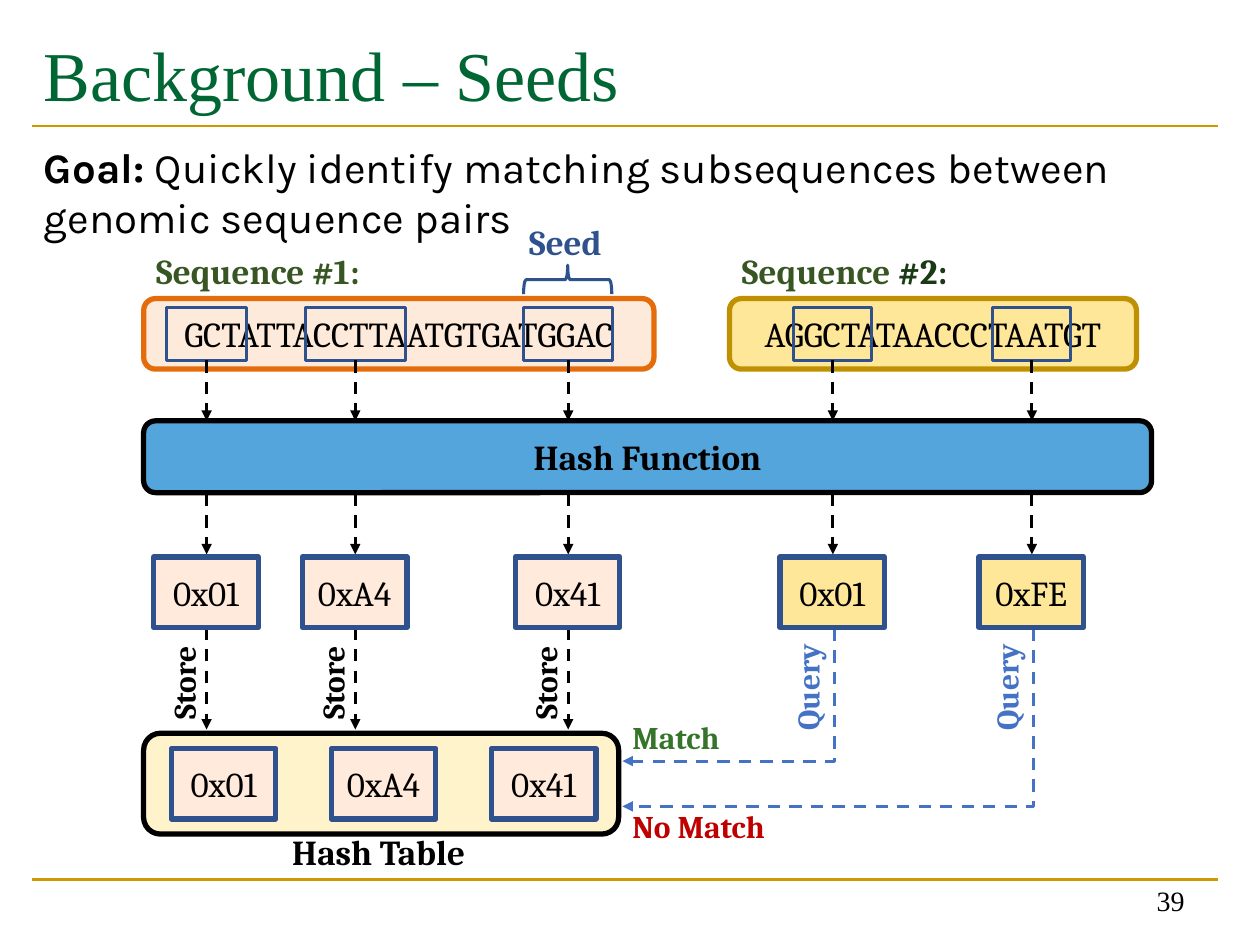
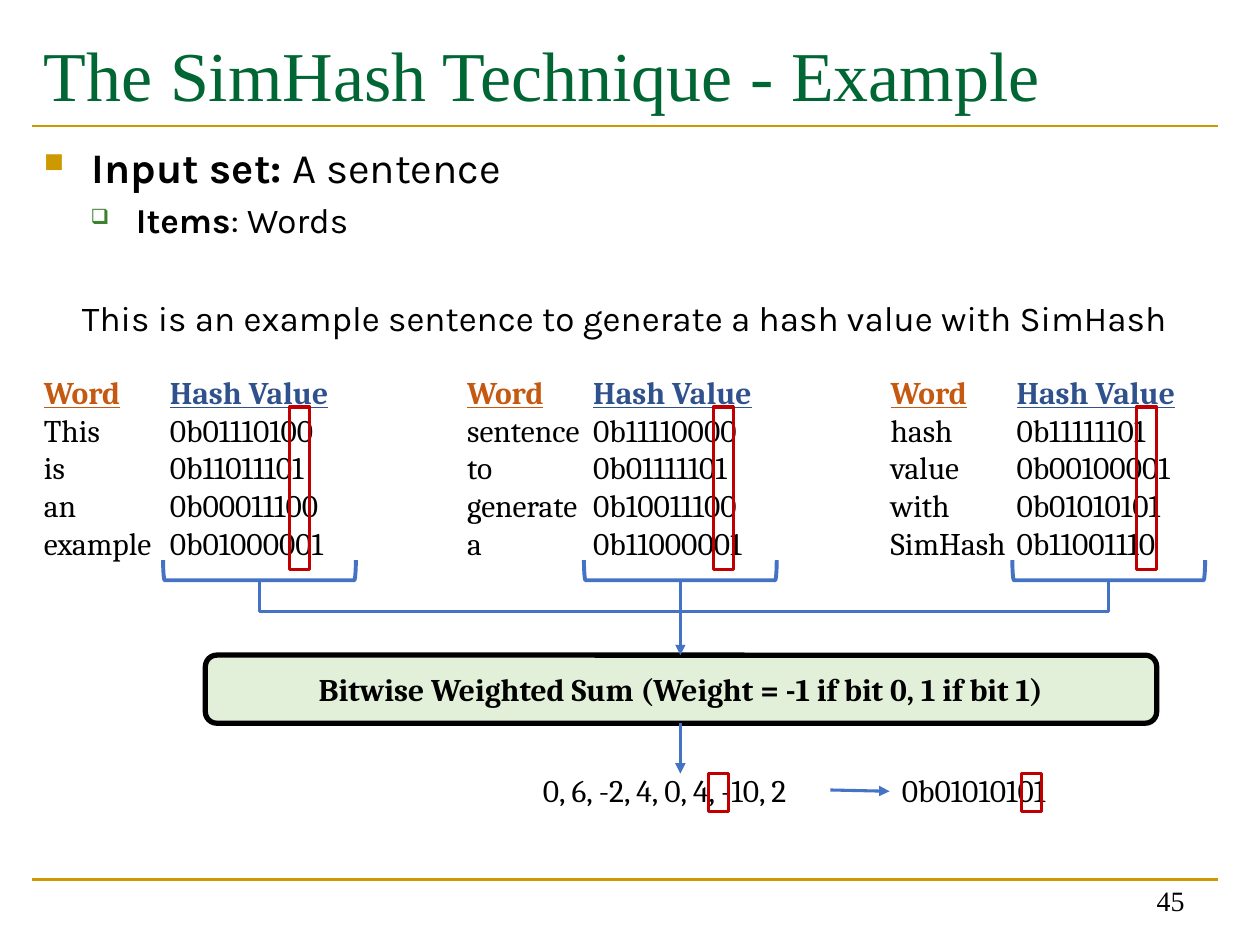
from lxml import etree
from pptx import Presentation
from pptx.dml.color import RGBColor
from pptx.enum import dml, shapes, text
from pptx.oxml.ns import qn
from pptx.util import Inches, Pt

GREEN = RGBColor(0x00, 0x66, 0x33)
GOLD = RGBColor(0xCC, 0x99, 0x00)
BLACK = RGBColor(0x00, 0x00, 0x00)
NAVY = RGBColor(0x2F, 0x52, 0x8E)
BLUE = RGBColor(0x44, 0x72, 0xC4)
SKY = RGBColor(0x54, 0xA5, 0xDB)
RED = RGBColor(0xC0, 0x00, 0x00)
OLIVE = RGBColor(0x38, 0x56, 0x23)
DARK_OLIVE = RGBColor(0x1A, 0x3A, 0x15)
LEAF = RGBColor(0x35, 0x74, 0x2A)
BULLET_GREEN = RGBColor(0x3B, 0x81, 0x2F)
ORANGE = RGBColor(0xE4, 0x6C, 0x0A)
RUST = RGBColor(0xC5, 0x59, 0x11)
PEACH = RGBColor(0xFD, 0xEA, 0xDA)
PALE_PEACH = RGBColor(0xFF, 0xEA, 0xDC)
YELLOW = RGBColor(0xFF, 0xE7, 0x9A)
DARK_YELLOW = RGBColor(0xBF, 0x90, 0x01)
CREAM = RGBColor(0xFF, 0xF3, 0xCC)
MINT = RGBColor(0xE3, 0xF0, 0xD9)

SERIF, SANS, TITLE_FONT = "Cambria", "Karla", "Times New Roman"
PRESET = shapes.MSO_SHAPE
ALIGN = text.PP_ALIGN
ANCHOR = text.MSO_ANCHOR


def put(page, at, lines=(), size=20, font=SERIF, align=None, anchor=None, wrap=True,
        turn=0, preset=None, fill=None, line=None, weight=3):
    """Add a text box, or a preset shape; each line is a list of
    (text, colour, bold, underline) spans, the last two optional."""
    place = [Inches(length) for length in at]
    if preset is None:
        box = page.shapes.add_textbox(*place)
    else:
        box = page.shapes.add_shape(preset, *place)
        box.shadow.inherit = False
        if fill is None:
            box.fill.background()
        else:
            box.fill.solid()
            box.fill.fore_color.rgb = fill
        box.line.color.rgb = line
        box.line.width = Pt(weight)
        align, anchor = ALIGN.CENTER, ANCHOR.MIDDLE
    box.rotation = turn
    frame = box.text_frame
    frame.word_wrap = wrap
    if anchor is not None:
        frame.vertical_anchor = anchor
    for number, spans in enumerate(lines):
        para = frame.add_paragraph() if number else frame.paragraphs[0]
        para.alignment = align
        for words, color, *style in spans:
            span = para.add_run()
            span.text = words
            span.font.name = font
            span.font.size = Pt(size)
            span.font.color.rgb = color
            span.font.bold = bool(style and style[0])
            span.font.underline = True if len(style) > 1 else None
    return box


def connect(page, start, end, color, weight=1.75, dash=False, arrow=True, elbow=False):
    """Draw a line; an elbow runs vertically first, then horizontally."""
    kind = shapes.MSO_CONNECTOR.ELBOW if elbow else shapes.MSO_CONNECTOR.STRAIGHT
    link = page.shapes.add_connector(kind, *[Inches(length) for length in (*start, *end)])
    link.line.color.rgb = color
    link.line.width = Pt(weight)
    if dash:
        link.line.dash_style = dml.MSO_LINE.DASH
    if arrow:
        etree.SubElement(link.line._get_or_add_ln(), qn("a:tailEnd"), type="triangle")
    properties = link._element.spPr
    etree.SubElement(properties, qn("a:effectLst"))
    if elbow:
        geometry = properties.find(qn("a:prstGeom"))
        guides = geometry.find(qn("a:avLst"))
        if guides is None:
            guides = etree.SubElement(geometry, qn("a:avLst"))
        etree.SubElement(guides, qn("a:gd"), name="adj1", fmla="val 0")


deck = Presentation()
deck.slide_width, deck.slide_height = Inches(10), Inches(7.5)

# Shared title, rules and page number
pages = []
for title, page_number in [("Background – Seeds", "39"),
                           ("The SimHash Technique - Example", "45")]:
    page = deck.slides.add_slide(deck.slide_layouts[6])
    for rule_y in (6.98, 1):
        connect(page, (0.25, rule_y), (9.67, rule_y), GOLD, 1.5, arrow=False)
    put(page, (0.25, 0.17, 9.42, 0.83), [[(title, GREEN)]], 40, TITLE_FONT,
        anchor=ANCHOR.MIDDLE)
    put(page, (7.17, 6.83, 2.33, 0.5), [[(page_number, BLACK)]], 16, TITLE_FONT,
        ALIGN.RIGHT, ANCHOR.BOTTOM)
    pages.append(page)
seeds, simhash = pages

# Seeds: goal and labels
put(seeds, (0.25, 1.07, 9.42, 0.91),
    [[("Goal:", BLACK, True),
      (" Quickly identify matching subsequences between genomic sequence pairs", BLACK)]],
    24, SANS)
for at, size, spans in [
    ((1.14, 1.93, 1.91, 0.44), 20, [("Sequence #1:", OLIVE, True)]),
    ((5.79, 1.93, 1.91, 0.44), 20, [("Sequence", OLIVE, True), (" #2:", DARK_OLIVE, True)]),
    ((4.1, 1.7, 0.81, 0.44), 20, [("Seed", NAVY, True)]),
    ((2.22, 6.54, 1.62, 0.44), 20, [("Hash Table", BLACK, True)]),
    ((4.92, 5.65, 0.91, 0.4), 18, [("Match", LEAF, True)]),
    ((4.92, 6.36, 1.28, 0.4), 18, [("No Match", RED, True)]),
]:
    put(seeds, at, [spans], size, wrap=False)

# Seeds: sequences, hash function and hash table
for at, words, bold, fill, line in [
    ((1.14, 2.37, 4.05, 0.56), "GCTATTACCTTAATGTGATGGAC", False, PEACH, ORANGE),
    ((5.79, 2.37, 3.23, 0.56), "AGGCTATAACCCTAATGT", False, YELLOW, DARK_YELLOW),
    ((1.14, 3.34, 8, 0.57), "Hash Function", True, SKY, BLACK),
    ((1.14, 5.82, 3.77, 0.8), "", False, CREAM, BLACK),
]:
    put(seeds, at, [[(words, BLACK, bold)]] if words else [],
        preset=PRESET.ROUNDED_RECTANGLE, fill=fill, line=line)
put(seeds, (4.39, 1.87, 0.23, 0.7), turn=90, preset=PRESET.LEFT_BRACE, line=NAVY, weight=1.75)

# Seeds: one column per seed, from sequence to hash value
for index, (center, seed_width, value, no_match_y) in enumerate([
    (1.64, 0.63, "0x01", None), (2.82, 0.79, "0xA4", None), (4.51, 0.71, "0x41", None),
    (6.61, 0.62, "0x01", 6.04), (8.19, 0.62, "0xFE", 6.4),
]):
    stored = index < 3
    put(seeds, (center - seed_width / 2, 2.44, seed_width, 0.42),
        preset=PRESET.RECTANGLE, line=NAVY, weight=1.75)
    connect(seeds, (center, 2.86), (center, 3.34), BLACK, dash=True)
    connect(seeds, (center, 3.92), (center, 4.4), BLACK, dash=True)
    value_boxes = [(center - 0.42, 4.42, 0.83, 0.56)]
    if stored:
        value_boxes.append((1.36 + 1.27 * index, 5.94, 0.83, 0.56))
        connect(seeds, (center, 4.98), (center, 5.79), BLACK, dash=True)
        put(seeds, (center - 0.59, 5.2, 0.81, 0.4), [[("Store", BLACK, True)]], 18,
            wrap=False, turn=270)
    else:
        connect(seeds, (center + 0.01, 4.99), (4.94, no_match_y), BLUE, dash=True, elbow=True)
        put(seeds, (center - 0.66, 5.24, 0.91, 0.4), [[("Query", BLUE, True)]], 18,
            wrap=False, turn=270)
    for at in value_boxes:
        put(seeds, at, [[(value, BLACK)]], preset=PRESET.RECTANGLE,
            fill=PALE_PEACH if stored else YELLOW, line=NAVY)

# SimHash: bulleted text and sentence
body = put(simhash, (0.25, 1.07, 9.42, 1.75), [
    [("Input set:", BLACK, True), (" A sentence", BLACK)],
    [("Items", BLACK, True), (": Words", BLACK)],
    [("This is an example sentence to generate a hash value with SimHash", BLACK)],
], 24, SANS)
first, second, sentence = body.text_frame.paragraphs
for para, margin, indent, mark, color, percent in [
    (first, 0.38, -0.38, "■", GOLD, 65), (second, 0.73, -0.36, "❑", BULLET_GREEN, 60),
]:
    layout = para._p.get_or_add_pPr()
    layout.set("marL", str(Inches(margin)))
    layout.set("indent", str(Inches(indent)))
    bullet_color = etree.SubElement(layout, qn("a:buClr"))
    etree.SubElement(bullet_color, qn("a:srgbClr"), val=str(color))
    etree.SubElement(layout, qn("a:buSzPct"), val=str(percent * 1000))
    etree.SubElement(layout, qn("a:buChar"), char=mark)
for para, gap in [(second, 4), (sentence, 32)]:
    para.space_before = Pt(gap)
    for span in para.runs:
        span.font.size = Pt(20)
sentence.alignment = ALIGN.CENTER

# SimHash: word lists with their hash values
heading = [("Word", RUST, True, True), ("\t", BLACK), ("Hash Value", NAVY, True, True)]
for index, (bracket_center, words) in enumerate([
    (2.06, [("This", "0b01110100"), ("is", "0b11011101"),
            ("an", "0b00011100"), ("example", "0b01000001")]),
    (5.4, [("sentence", "0b11110000"), ("to", "0b01111101"),
           ("generate", "0b10011100"), ("a", "0b11000001")]),
    (8.8, [("hash", "0b11111101"), ("value", "0b00100001"),
           ("with", "0b01010101"), ("SimHash", "0b11001110")]),
]):
    left = 0.25 + 3.36 * index
    rows = [[(f"{word}\t{value}", BLACK)] for word, value in words]
    word_list = put(simhash, (left, 2.91, 2.7, 1.62), [heading] + rows, 18)
    for para in word_list.text_frame.paragraphs:
        stops = etree.SubElement(para._p.get_or_add_pPr(), qn("a:tabLst"))
        etree.SubElement(stops, qn("a:tab"), pos=str(Inches(1)), algn="l")
    put(simhash, (left + 2.05, 3.23, 0.16, 1.29), preset=PRESET.RECTANGLE,
        line=RED, weight=1.75)
    put(simhash, (bracket_center - 0.08, 3.76, 0.16, 1.53), turn=270,
        preset=PRESET.LEFT_BRACKET, line=BLUE, weight=2.25)
    if index != 1:
        connect(simhash, (bracket_center, 4.6), (5.4, 4.85), BLUE, arrow=False, elbow=True)

# SimHash: weighted sum and result
put(simhash, (1.63, 5.2, 7.55, 0.54),
    [[("Bitwise Weighted Sum (Weight = -1 if bit 0, 1 if bit 1)", BLACK, True)]], 18,
    preset=PRESET.ROUNDED_RECTANGLE, fill=MINT, line=BLACK)
for start, end in [((5.4, 4.6), (5.4, 5.2)), ((5.4, 5.74), (5.4, 6.14)),
                   ((6.59, 6.27), (7.06, 6.28))]:
    connect(simhash, start, end, BLUE)
for left, width, words, mark_left in [(4.21, 2.38, "0, 6, -2, 4, 0, 4, -10, 2", 5.62),
                                      (7.06, 1.66, "0b01010101", 8.11)]:
    put(simhash, (left, 6.07, width, 0.4), [[(words, BLACK)]], 18)
    put(simhash, (mark_left, 6.14, 0.16, 0.3), preset=PRESET.RECTANGLE, line=RED, weight=1.75)

deck.save("out.pptx")
